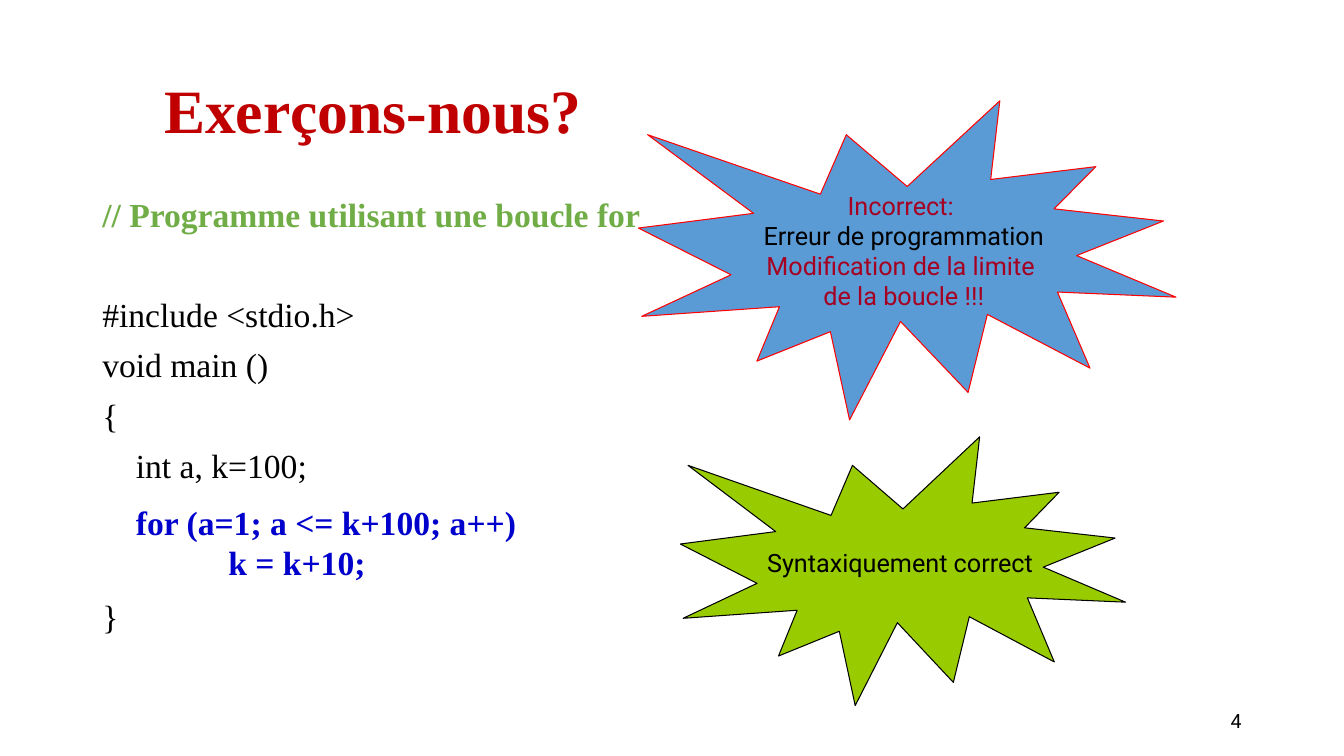
import pptx
import pptx.util
import pptx.dml.color
import pptx.enum.shapes
import pptx.enum.text

Pt = pptx.util.Pt
Align = pptx.enum.text.PP_ALIGN
Anchor = pptx.enum.text.MSO_ANCHOR
SERIF, SANS = "Times New Roman", "Roboto"
HEX = {"title": "C00000", "note": "70AD47", "black": "000000", "loop": "0000CC",
       "wine": "A50021", "blue": "5B9BD5", "red": "FF0000", "lime": "99CC00"}

# Content
TITLE = "Exerçons-nous?"
NUMBER = "4"
# Code lines: text, colour, bold, left indent, blank lines above
CODE = [
    ("// Programme utilisant une boucle for", "note", True, 0, 0),
    ("#include <stdio.h>", "black", False, 0, 1),
    ("void main ()", "black", False, 0, 0),
    ("{", "black", False, 0, 0),
    ("int a, k=100;", "black", False, 24, 0),
    ("}", "black", False, 0, 2),
]
LOOP = [("for (a=1; a <= k+100; a++)", 6), ("k = k+10;", 72)]
# Bursts: box, fill, line, text lines with their colours
BURSTS = [
    ((456, 72, 384, 228), "blue", "red", [
        ("Incorrect: ", "wine"),
        ("Erreur de programmation", "black"),
        ("Modification de la limite ", "wine"),
        ("de la boucle !!!", "wine")]),
    ((486, 312, 318, 192), "lime", "black", [
        ("Syntaxiquement correct", "black")]),
]
GAP, PITCH = 10, 35.9  # space above a code line, and step between lines


def color(name):
    return pptx.dml.color.RGBColor.from_string(HEX[name])


def write(frame, text, first=False, size=24, font=SERIF, ink="black", bold=False,
          align=Align.LEFT, indent=0, above=0, lead=1.0):
    para = frame.paragraphs[0] if first else frame.add_paragraph()
    para.alignment, para.line_spacing = align, lead
    para.space_before = Pt(above)
    if indent:
        para._p.get_or_add_pPr().set("marL", str(Pt(indent)))
    run = para.add_run()
    run.text = text
    run.font.size, run.font.name, run.font.bold = Pt(size), font, bold
    run.font.color.rgb = color(ink)


def add_box(box):
    frame = slide.shapes.add_textbox(*map(Pt, box)).text_frame
    frame.word_wrap = True
    return frame


deck = pptx.Presentation()
deck.slide_width, deck.slide_height = Pt(960), Pt(540)
slide = deck.slides.add_slide(deck.slide_layouts[5])

# Slide number
frame = add_box((678, 500.5, 216, 28.75))
frame.vertical_anchor = Anchor.MIDDLE
write(frame, NUMBER, first=True, size=14, font=SANS, align=Align.RIGHT)

# Title
head = slide.shapes.title
head.left, head.top, head.width, head.height = map(Pt, (110, 28.75, 828, 104.4))
head.text_frame.vertical_anchor = Anchor.MIDDLE
head.text_frame.auto_size = pptx.enum.text.MSO_AUTO_SIZE.NONE
write(head.text_frame, TITLE, first=True, size=44, ink="title", bold=True, lead=0.9)

# Code
frame = add_box((66, 138, 612, 402))
for i, (text, ink, bold, indent, blanks) in enumerate(CODE):
    write(frame, text, first=i == 0, ink=ink, bold=bold, indent=indent,
          above=GAP + blanks * PITCH, lead=0.9)

# Loop lines
frame = add_box((84, 355, 292, 65.5))
frame.margin_right = 0
for i, (text, indent) in enumerate(LOOP):
    write(frame, text, first=i == 0, ink="loop", bold=True, indent=indent)

# Bursts
for box, fill, line, lines in BURSTS:
    burst = slide.shapes.add_shape(
        pptx.enum.shapes.MSO_SHAPE.EXPLOSION1, *map(Pt, box))
    burst.shadow.inherit = False
    burst.fill.solid()
    burst.fill.fore_color.rgb = color(fill)
    burst.line.color.rgb = color(line)
    burst.line.width = Pt(0.75)
    frame = burst.text_frame
    frame.word_wrap = False
    frame.vertical_anchor = Anchor.MIDDLE
    for i, (text, ink) in enumerate(lines):
        write(frame, text, first=i == 0, size=18, font=SANS, ink=ink,
              align=Align.CENTER)

deck.save("out.pptx")
